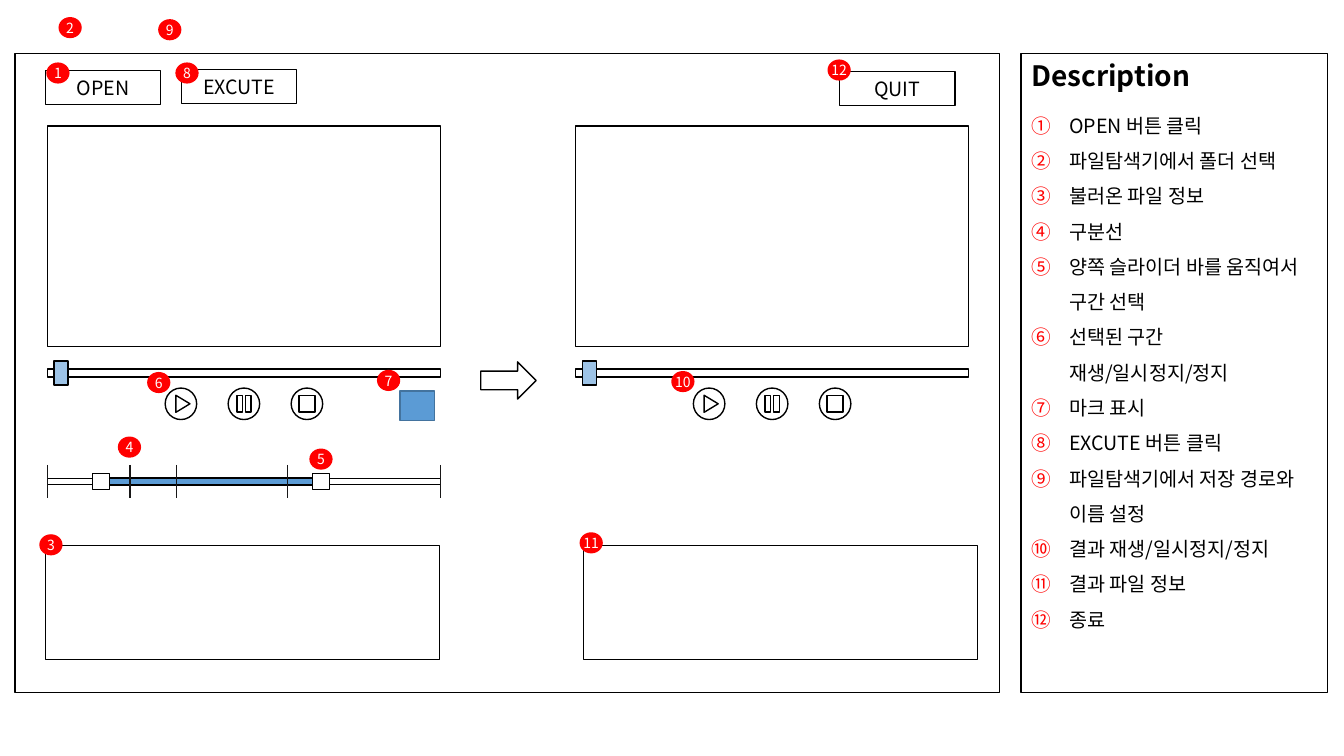
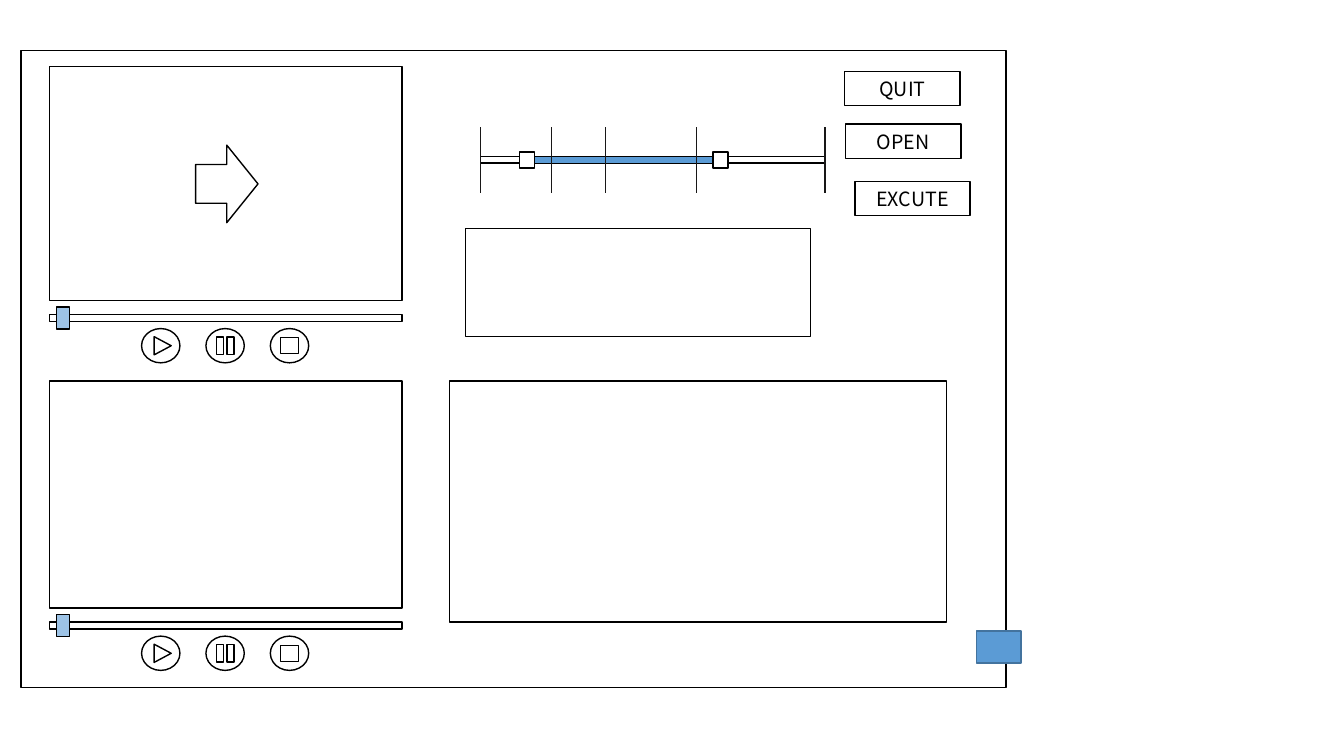
from dataclasses import dataclass

from lxml import etree
from pptx import Presentation
from pptx.dml.color import RGBColor
from pptx.enum import shapes, text
from pptx.oxml import ns
from pptx.util import Pt

BLACK = RGBColor(0x00, 0x00, 0x00)
WHITE = RGBColor(0xFF, 0xFF, 0xFF)
TICK = RGBColor(0x18, 0x17, 0x17)
RED = RGBColor(0xFF, 0x00, 0x00)
BLUE = RGBColor(0x5B, 0x9B, 0xD5)
BLUE_EDGE = RGBColor(0x43, 0x73, 0x9E)
PALE_BLUE = RGBColor(0x9D, 0xC3, 0xE6)
FONT = "Noto Sans CJK KR"
SHAPE = shapes.MSO_SHAPE

STEPS = [
    "OPEN 버튼 클릭",
    "파일탐색기에서 폴더 선택",
    "불러온 파일 정보",
    "구분선",
    "양쪽 슬라이더 바를 움직여서 구간 선택",
    "선택된 구간 재생/일시정지/정지",
    "마크 표시",
    "EXCUTE 버튼 클릭",
    "파일탐색기에서 저장 경로와 이름 설정",
    "결과 재생/일시정지/정지",
    "결과 파일 정보",
    "종료",
]
BADGES = [
    (33.1, 44.6), (41.8, 12.2), (28.1, 381.6), (84.2, 311.8),
    (221, 320.4), (105.1, 265.7), (269.3, 264.2), (125.3, 44.6),
    (113, 13.7), (479.5, 265), (414, 380.2), (591.1, 42.5),
]


@dataclass
class Controls:
    """Sizes of the parts below a player screen, in points."""
    bar_gap: float
    bar_height: float
    knob: tuple
    dial: tuple
    dial_gap: float
    first_dial: float
    pitch: float
    play: tuple
    pause: tuple
    stop: tuple


WIDE = Controls(15.8, 5.8, (10.1, 17.3), (22.5, 22.5), 29.5, 84.2, 45,
                (12.2, 10.1), (15.8, 17.3), (11.5, 11.5))
COMPACT = Controls(10.1, 5, (9.4, 15.8), (27.4, 24.5), 20.2, 65.8, 46,
                   (13, 12.2), (16.6, 21.6), (13, 11.5))


class Wireframe:
    """Draws screen mock-up elements on the current slide."""

    def __init__(self):
        self.deck = Presentation()
        self.deck.slide_width, self.deck.slide_height = Pt(960), Pt(540)

    def add_slide(self, layout):
        """Start a slide and draw on it from now on."""
        self.slide = self.deck.slides.add_slide(self.deck.slide_layouts[layout])
        self.target = self.slide.shapes

    def style(self, paragraph, size, color=BLACK, bold=False):
        """Format every run of a paragraph."""
        for run in paragraph.runs:
            run.font.name, run.font.size, run.font.bold = FONT, Pt(size), bold
            run.font.color.rgb = color
            east_asian = etree.SubElement(run._r.get_or_add_rPr(), ns.qn("a:ea"))
            east_asian.set("typeface", FONT)

    def box(self, left, top, width, height, kind=SHAPE.RECTANGLE, fill=None, line=BLACK):
        """Add an outlined preset shape."""
        shape = self.target.add_shape(kind, Pt(left), Pt(top), Pt(width), Pt(height))
        shape.shadow.inherit = False
        if fill is None:
            shape.fill.background()
        else:
            shape.fill.solid()
            shape.fill.fore_color.rgb = fill
        if line is None:
            shape.line.fill.background()
        else:
            shape.line.color.rgb, shape.line.width = line, Pt(1)
        return shape

    def centered(self, x, y, size, kind=SHAPE.RECTANGLE, fill=None, rotation=0):
        """Add a shape around a centre point."""
        width, height = size
        shape = self.box(x - width / 2, y - height / 2, width, height, kind, fill)
        shape.rotation = rotation

    def label(self, shape, words, size, color):
        """Centre a short text in a shape."""
        frame = shape.text_frame
        frame.margin_left = frame.margin_right = 0
        frame.vertical_anchor = text.MSO_ANCHOR.MIDDLE
        frame.text = words
        frame.paragraphs[0].alignment = text.PP_ALIGN.CENTER
        self.style(frame.paragraphs[0], size, color)

    def button(self, left, top, words):
        """Add a labelled push button."""
        self.label(self.box(left, top, 82.4, 24.5), words, 14, BLACK)

    def badge(self, left, top, number):
        """Add a red numbered marker."""
        oval = self.box(left, top, 16.6, 15.1, SHAPE.OVAL, RED, None)
        self.label(oval, str(number), 10, WHITE)

    def mark(self, left, top, width, height):
        """Add the blue mark indicator."""
        self.box(left, top, width, height, fill=BLUE, line=BLUE_EDGE)

    def tick(self, x, axis, reach):
        """Add a vertical division line across an axis."""
        line = self.target.add_connector(
            shapes.MSO_CONNECTOR.STRAIGHT, Pt(x), Pt(axis - reach), Pt(x), Pt(axis + reach))
        line.line.color.rgb, line.line.width = TICK, Pt(1)
        etree.SubElement(line._element.spPr, ns.qn("a:effectLst"))

    def player(self, left, top, width, height, controls):
        """Add a grouped screen with its position bar and control dials."""
        self.target = self.slide.shapes.add_group_shape().shapes
        bottom = top + height
        bar = bottom + controls.bar_gap
        self.box(left, top, width, height)
        self.box(left, bar, width, controls.bar_height)
        self.centered(left + 9.9, bar + controls.bar_height / 2, controls.knob, fill=PALE_BLUE)
        symbols = [
            (controls.play, SHAPE.ISOSCELES_TRIANGLE, 90, 1.4),
            (controls.pause, SHAPE.MATH_EQUAL, 90, 0),
            (controls.stop, SHAPE.RECTANGLE, 0, 0),
        ]
        y = bottom + controls.dial_gap + controls.dial[1] / 2
        for index, (size, kind, rotation, shift) in enumerate(symbols):
            x = left + controls.first_dial + controls.dial[0] / 2 + index * controls.pitch
            self.centered(x, y, controls.dial, SHAPE.OVAL)
            self.centered(x + shift, y, size, kind, rotation=rotation)
        self.target = self.slide.shapes

    def timeline(self, left, width, axis, start, end, divisions, reach, knob_width):
        """Add a grouped range slider with division lines."""
        self.target = self.slide.shapes.add_group_shape().shapes
        self.box(left, axis - 2.3, width, 4.6)
        self.box(start, axis - 2.5, end - start, 5, fill=BLUE)
        for x in (start, end):
            self.centered(x, axis, (knob_width, 11.5), fill=WHITE)
        for x in (left, *divisions, left + width):
            self.tick(x, axis, reach)
        self.target = self.slide.shapes

    def place(self, holder, left, top, width, height):
        """Move a placeholder and reset its text frame."""
        holder.left, holder.top, holder.width, holder.height = map(Pt, (left, top, width, height))
        frame = holder.text_frame
        frame.word_wrap = True
        frame.auto_size = text.MSO_AUTO_SIZE.NONE
        frame.vertical_anchor = text.MSO_ANCHOR.TOP
        return frame

    def description(self, heading, steps):
        """Fill the side panel with a heading and a numbered list."""
        title, panel = self.slide.placeholders
        frame = self.place(title, 729.4, 38.2, 218.9, 34)
        frame.text = heading
        frame.paragraphs[0].alignment = text.PP_ALIGN.LEFT
        self.style(frame.paragraphs[0], 20, bold=True)

        frame = self.place(panel, 729.4, 38.2, 218.9, 456.5)
        panel.line.color.rgb, panel.line.width = BLACK, Pt(1)
        frame.margin_top = Pt(34.6)
        frame.text = "\n".join(steps)
        for step in frame.paragraphs:
            step.line_spacing, step.space_before = 1.5, Pt(0)
            self.style(step, 14)
            self.number(step)

    def number(self, paragraph):
        """Give a paragraph a red circled number and a hanging indent."""
        properties = paragraph._p.get_or_add_pPr()
        properties.set("marL", str(Pt(27)))
        properties.set("indent", str(-Pt(27)))
        color = etree.SubElement(properties, ns.qn("a:buClr"))
        etree.SubElement(color, ns.qn("a:srgbClr")).set("val", str(RED))
        etree.SubElement(properties, ns.qn("a:buFont")).set("typeface", FONT)
        etree.SubElement(properties, ns.qn("a:buAutoNum")).set("type", "circleNumDbPlain")


def annotated_screen(ui):
    """Build the screen with numbered explanations."""
    ui.add_slide(1)
    ui.description("Description", STEPS)
    ui.box(10.8, 38.2, 703.4, 456.5)
    for left in (33.8, 411.1):
        ui.player(left, 90, 280.8, 157.7, WIDE)
    for left in (32.4, 416.9):
        ui.box(left, 389.5, 281.5, 81.4)
    ui.box(343.4, 258.5, 39.6, 26.6, SHAPE.RIGHT_ARROW)
    ui.button(32.4, 50.4, "OPEN")
    ui.button(129.6, 49.7, "EXCUTE")
    ui.button(599.8, 51.1, "QUIT")
    ui.mark(285.8, 279.4, 24.5, 20.9)
    ui.timeline(33.8, 280.8, 344, 72.2, 229.5, (92.9, 126, 205.2), 12, 12.2)
    for number, (left, top) in enumerate(BADGES, 1):
        ui.badge(left, top, number)


def compact_screen(ui):
    """Build the alternative arrangement of the screen."""
    ui.add_slide(6)
    ui.box(15.1, 36, 703.4, 455)
    ui.player(35.3, 47.5, 252, 167, COMPACT)
    ui.player(35.3, 272.2, 252, 162, COMPACT)
    ui.timeline(343.1, 246.2, 114.3, 376.4, 514.6, (393.8, 432.7, 497.5), 23.4, 10.8)
    ui.box(332.6, 163.4, 246.2, 77)
    ui.box(321.1, 272.2, 355, 172.1)
    ui.box(139.7, 103.7, 44.6, 55.4, SHAPE.RIGHT_ARROW)
    ui.button(603.4, 51.1, "QUIT")
    ui.button(604.1, 88.6, "OPEN")
    ui.button(610.6, 129.6, "EXCUTE")
    ui.mark(697.7, 450.7, 31.7, 23)


def main():
    """Build and save the deck."""
    ui = Wireframe()
    annotated_screen(ui)
    compact_screen(ui)
    ui.deck.save("out.pptx")


if __name__ == "__main__":
    main()
